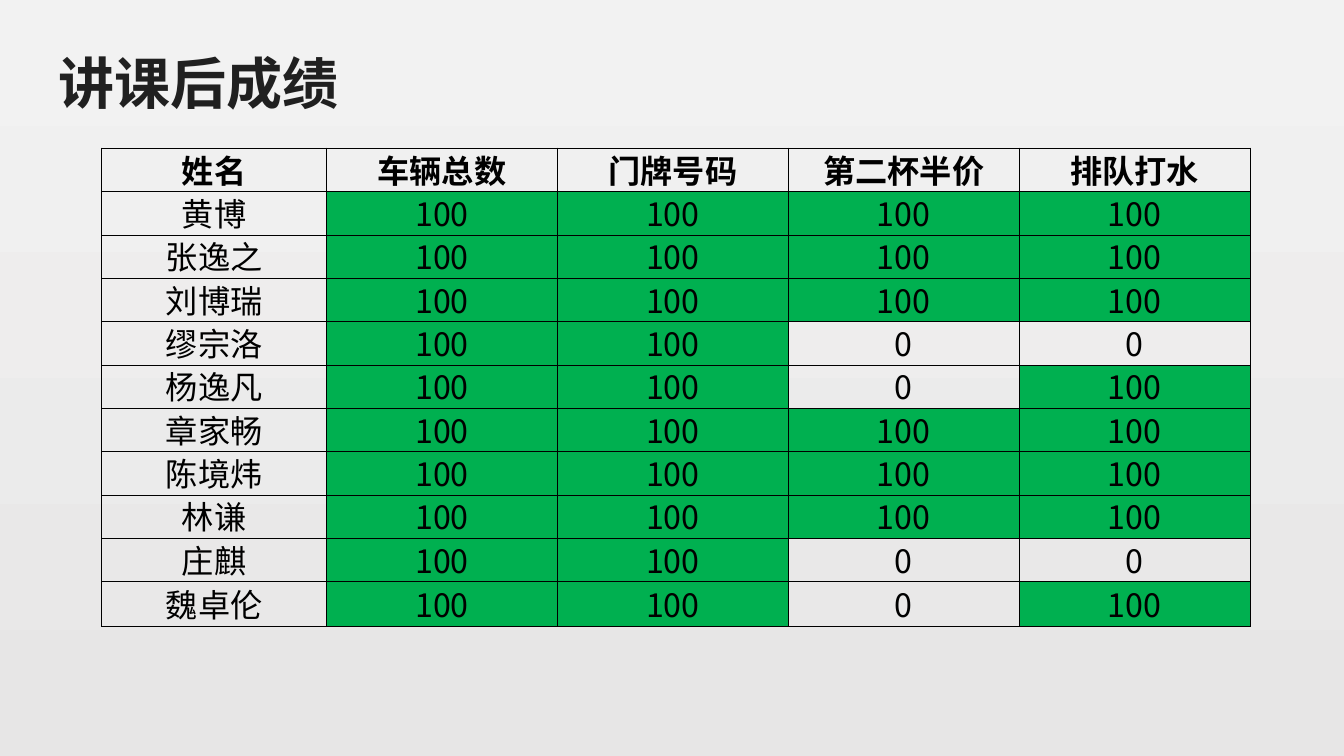
from lxml.etree import SubElement
from pptx import Presentation
from pptx.dml.color import RGBColor
from pptx.enum.text import MSO_ANCHOR as Anchor, MSO_AUTO_SIZE as AutoSize, PP_ALIGN as Align
from pptx.oxml import parse_xml
from pptx.oxml.ns import nsdecls, qn
from pptx.util import Inches, Pt

TITLE = "讲课后成绩"
HEADER = ("姓名", "车辆总数", "门牌号码", "第二杯半价", "排队打水")
SCORES = [
    ("黄博", 100, 100, 100, 100),
    ("张逸之", 100, 100, 100, 100),
    ("刘博瑞", 100, 100, 100, 100),
    ("缪宗洛", 100, 100, 0, 0),
    ("杨逸凡", 100, 100, 0, 100),
    ("章家畅", 100, 100, 100, 100),
    ("陈境炜", 100, 100, 100, 100),
    ("林谦", 100, 100, 100, 100),
    ("庄麒", 100, 100, 0, 0),
    ("魏卓伦", 100, 100, 0, 100),
]
COLORS = {"top": "F2F2F2", "bottom": "E7E6E6", "title": "202020", "ink": "000000", "full": "00B050"}
FONT = "Noto Sans CJK SC"
FULL_SCORE = 100
NAME_WIDTH, SCORE_WIDTH = 2.23, 2.29
ROW_HEIGHT, LAST_ROW_HEIGHT = 0.43, 0.45
LINE_SPACING = 0.88
INSET = Inches(0.02)
OUTER, INNER = 1, 0.5


def style_text(paragraph, size, color, bold):
    """Format every run of a paragraph."""
    for run in paragraph.runs:
        font = run.font
        font.size, font.bold, font.name = Pt(size), bold, FONT
        font.color.rgb = RGBColor.from_string(COLORS[color])
        SubElement(run._r.get_or_add_rPr(), qn("a:ea"), typeface=FONT)


def set_borders(cell, widths):
    """Draw the four edges of a cell with the given widths in points."""
    properties = cell._tc.get_or_add_tcPr()
    for index, (side, width) in enumerate(widths.items()):
        line = parse_xml(
            f'<a:ln{side} {nsdecls("a")} w="{Pt(width)}"><a:solidFill>'
            f'<a:srgbClr val="{COLORS["ink"]}"/></a:solidFill></a:ln{side}>')
        properties.insert(index, line)


presentation = Presentation()
presentation.slide_width, presentation.slide_height = Inches(13.33), Inches(7.5)
slide = presentation.slides.add_slide(presentation.slide_layouts[6])

background = slide.background.fill
background.gradient()
background.gradient_angle = 270
for stop, name in zip(background.gradient_stops, ("top", "bottom")):
    stop.color.rgb = RGBColor.from_string(COLORS[name])

title = slide.shapes.add_textbox(Inches(0.48), Inches(0.43), Inches(3.01), Inches(0.77))
title.text_frame.text = TITLE
title.text_frame.word_wrap = False
title.text_frame.auto_size = AutoSize.SHAPE_TO_FIT_TEXT
style_text(title.text_frame.paragraphs[0], 40, "title", True)

rows = [HEADER, *SCORES]
last_row, last_column = len(rows) - 1, len(HEADER) - 1
table_width = NAME_WIDTH + SCORE_WIDTH * last_column
table_height = ROW_HEIGHT * last_row + LAST_ROW_HEIGHT
table = slide.shapes.add_table(len(rows), len(HEADER), Inches(1.01), Inches(1.47),
                               Inches(table_width), Inches(table_height)).table
table.first_row = table.horz_banding = False
for index, column in enumerate(table.columns):
    column.width = Inches(SCORE_WIDTH if index else NAME_WIDTH)

for row_index, values in enumerate(rows):
    table.rows[row_index].height = Inches(LAST_ROW_HEIGHT if row_index == last_row else ROW_HEIGHT)
    for column_index, value in enumerate(values):
        cell = table.cell(row_index, column_index)
        cell.text_frame.text = str(value)
        cell.vertical_anchor = Anchor.MIDDLE
        cell.margin_left = cell.margin_right = cell.margin_top = INSET
        cell.margin_bottom = 0
        paragraph = cell.text_frame.paragraphs[0]
        paragraph.alignment = Align.CENTER
        paragraph.line_spacing = LINE_SPACING
        style_text(paragraph, 23, "ink", row_index == 0)
        if value == FULL_SCORE:
            cell.fill.solid()
            cell.fill.fore_color.rgb = RGBColor.from_string(COLORS["full"])
        else:
            cell.fill.background()
        set_borders(cell, {
            "L": INNER if column_index else OUTER,
            "R": OUTER if column_index == last_column else INNER,
            "T": INNER if row_index else OUTER,
            "B": OUTER if row_index == last_row else INNER,
        })

presentation.save("out.pptx")
